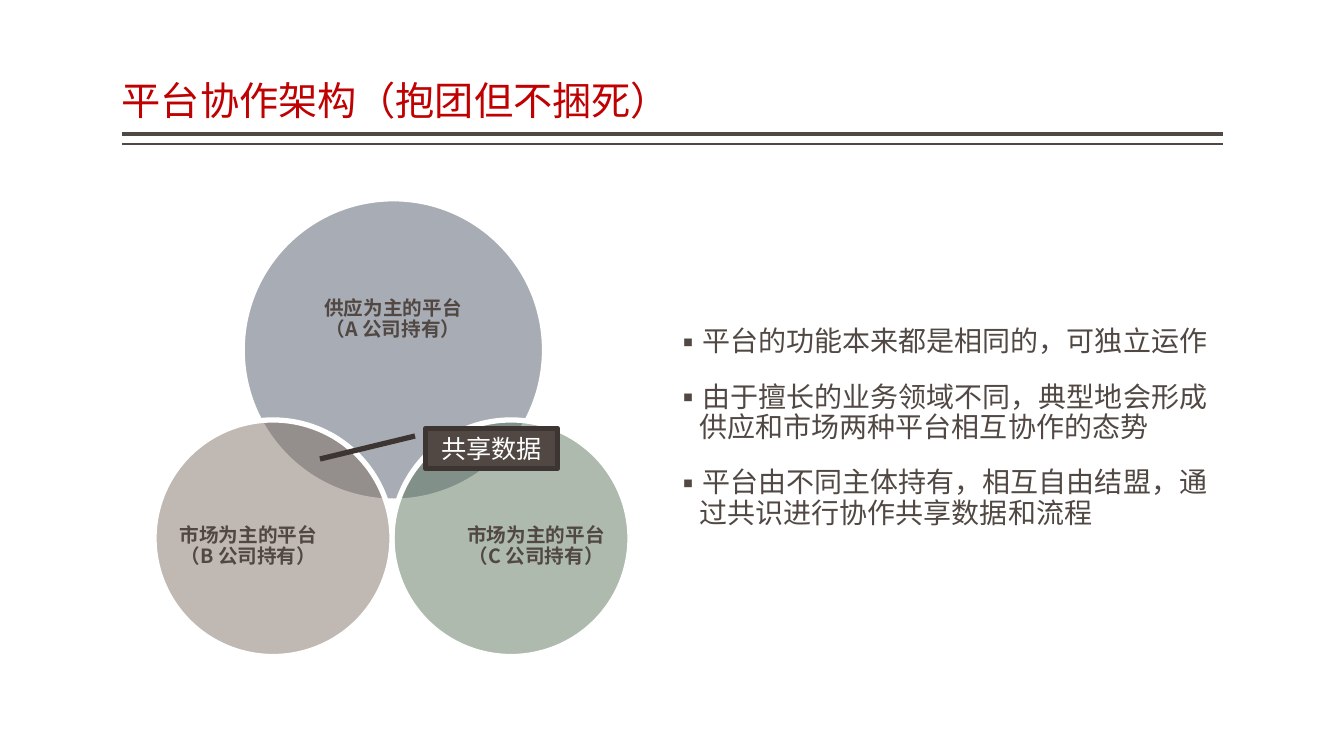
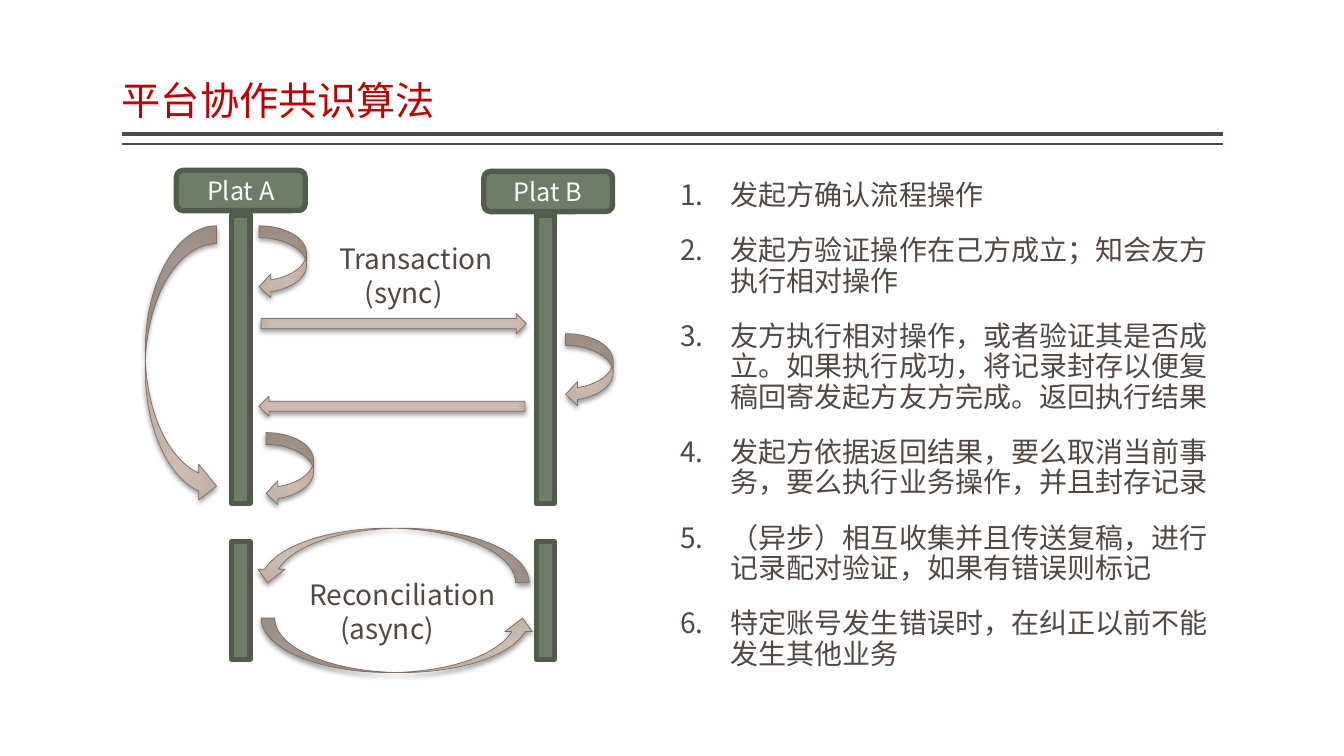
import pptx
import pptx.util
import pptx.dml.color
import pptx.enum.dml
import pptx.enum.shapes
import pptx.enum.text
import pptx.oxml
import pptx.oxml.ns
from lxml import etree

Pt = pptx.util.Pt
MSO = pptx.enum.shapes.MSO_SHAPE
ANCHOR = pptx.enum.text.MSO_ANCHOR
CENTER = pptx.enum.text.PP_ALIGN.CENTER
qn = pptx.oxml.ns.qn

# Content
TITLES = ["平台协作架构（抱团但不捆死）", "平台协作共识算法"]
POINTS = [
    "平台的功能本来都是相同的，可独立运作",
    "由于擅长的业务领域不同，典型地会形成供应和市场两种平台相互协作的态势",
    "平台由不同主体持有，相互自由结盟，通过共识进行协作共享数据和流程",
]
STEPS = [
    "发起方确认流程操作",
    "发起方验证操作在己方成立；知会友方执行相对操作",
    "友方执行相对操作，或者验证其是否成立。如果执行成功，将记录封存以便复稿回寄发起方友方完成。返回执行结果",
    "发起方依据返回结果，要么取消当前事务，要么执行业务操作，并且封存记录",
    "（异步）相互收集并且传送复稿，进行记录配对验证，如果有错误则标记",
    "特定账号发生错误时，在纠正以前不能发生其他业务",
]
# Label, fill, circle box, label box
CIRCLES = [
    ("供应为主的平台\v（A 公司持有）", "slate", (173, 142, 216, 216), (201.5, 180, 158.5, 97)),
    ("市场为主的平台（C 公司持有）", "leaf", (280, 300, 170, 169), (332, 344, 102, 93)),
    ("市场为主的平台（B 公司持有）", "clay", (110, 300, 170, 169), (126.5, 344, 102, 93)),
]
# Name, lifeline left, pill left, pill top
PLATS = [("Plat A", 165.6, 126, 121.7), ("Plat B", 383, 345.6, 122.4)]
SPANS = [(153.6, 206), (387, 84)]
LOOP = (34, 52)
ARROWS = [
    (MSO.CURVED_LEFT_ARROW, (185, 161.3, *LOOP), 0),
    (MSO.RIGHT_ARROW, (186.5, 224, 189.5, 14.4), 0),
    (MSO.LEFT_ARROW, (185, 283, 190, 14.4), 0),
    (MSO.CURVED_LEFT_ARROW, (404, 238.3, *LOOP), 0),
    (MSO.CURVED_RIGHT_ARROW, (103.7, 161.3, 51, 198.7), 0),
    (MSO.CURVED_LEFT_ARROW, (190, 309, *LOOP), 0),
    (MSO.CURVED_UP_ARROW, (186.5, 441.4, 196.6, 39), 0),
    (MSO.CURVED_UP_ARROW, (181.4, 377.3, 196.6, 39), 180),
]
# Lines, indent of the second line, box
NOTES = [
    (["Reconciliation", "(async)"], 22, (213.8, 409, 154, 55.4)),
    (["Transaction", "(sync)"], 18, (235.4, 169.2, 125, 55.4)),
]

# Shared style
HEX = {
    "ink": "514843", "red": "BF0102", "white": "FFFFFF", "dark": "3C3532",
    "slate": "525A6A", "leaf": "5C765D", "clay": "827266",
    "moss": "6D7D66", "fern": "515C4B",
    "sand": "CCBDB3", "tan": "C2AEA1", "bark": "806F63", "black": "000000",
}
FONT = "Noto Sans CJK SC"
EDGE = 3.78
LEFT, RIGHT = 87, 873.4
RULES = [(95.8, 3), (103, 1)]


def tint(name):
    return pptx.dml.color.RGBColor.from_string(HEX[name])


def node(up, tag, **attrs):
    return etree.SubElement(up, qn(tag), {k: str(v) for k, v in attrs.items()})


def style(par, size, color="ink", bold=False, face=FONT):
    font = par.font
    font.size, font.bold, font.name = Pt(size), bold, face
    font.color.rgb = tint(color)
    node(par._p.pPr.find(qn("a:defRPr")), "a:ea", typeface=face)


def bullet(par, mark, hang):
    pr = par._p.get_or_add_pPr()
    pr.set("marL", str(Pt(hang)))
    pr.set("indent", str(-Pt(hang)))
    if mark:
        node(pr, "a:buFont", typeface=FONT)
        node(pr, "a:buChar", char=mark)
    else:
        node(pr, "a:buAutoNum", type="arabicPeriod")


def pars(frame, lines):
    for i, line in enumerate(lines):
        par = frame.add_paragraph() if i else frame.paragraphs[0]
        par.text = line
        yield i, par


def box(slide, rect, anchor, inset):
    frame = slide.shapes.add_textbox(*map(Pt, rect)).text_frame
    frame.word_wrap = True
    frame.vertical_anchor = anchor
    frame.margin_left = frame.margin_right = Pt(inset[0])
    frame.margin_top = frame.margin_bottom = Pt(inset[1])
    return frame


def shape(slide, kind, rect, fill, edge, width=EDGE):
    item = slide.shapes.add_shape(kind, *map(Pt, rect))
    item.shadow.inherit = False
    item.fill.solid()
    item.fill.fore_color.rgb = tint(fill)
    item.line.color.rgb = tint(edge)
    item.line.width = Pt(width)
    return item


def label(item, text, face=FONT):
    frame = item.text_frame
    frame.vertical_anchor = ANCHOR.MIDDLE
    par = frame.paragraphs[0]
    par.text = text
    par.alignment = CENTER
    style(par, 18, "white", face=face)


def page(deck, title):
    slide = deck.slides.add_slide(deck.slide_layouts[6])
    for y, width in RULES:
        rule = slide.shapes.add_connector(
            pptx.enum.shapes.MSO_CONNECTOR.STRAIGHT, Pt(RIGHT), Pt(y), Pt(LEFT), Pt(y))
        rule.line.color.rgb = tint("ink")
        rule.line.width = Pt(width)
        node(rule._element.spPr, "a:effectLst")
    frame = box(slide, (LEFT, 5.8, RIGHT - LEFT, 86.4), ANCHOR.BOTTOM, (0, 3.6))
    par = frame.paragraphs[0]
    par.text = title
    par.line_spacing = 0.9
    style(par, 28, "red")
    return slide


def body(slide, left, lines, anchor, mark, hang):
    frame = box(slide, (left, 126, 387.4, 360), anchor, (0, 3.6))
    for i, par in pars(frame, lines):
        par.line_spacing = 0.9
        par.space_before = Pt(18 if i else 0)
        bullet(par, mark, hang)
        style(par, 20)


def arrow(slide, kind, rect, turn):
    item = shape(slide, kind, rect, "sand", "bark", 0.5)
    item.rotation = turn
    item.fill.gradient()
    for stop, spot, name in zip(item.fill.gradient_stops, (0, 1), ("sand", "tan")):
        stop.position = spot
        stop.color.rgb = tint(name)
    # Gradient from the middle outwards
    grad = item._element.spPr.find(qn("a:gradFill"))
    grad.remove(grad.find(qn("a:lin")))
    way = node(grad, "a:path", path="rect")
    node(way, "a:fillToRect", l=50000, t=50000, r=50000, b=50000)
    # Soft shadow below
    glow = node(item._element.spPr.find(qn("a:effectLst")), "a:outerShdw",
                blurRad=Pt(3.5), dist=Pt(2), dir=5400000, rotWithShape=0)
    node(node(glow, "a:srgbClr", val=HEX["black"]), "a:alpha", val=38000)


def venn(deck):
    slide = page(deck, TITLES[0])
    body(slide, 481.7, POINTS, ANCHOR.MIDDLE, "▪", 18)
    # Overlapping circles
    for text, fill, rect, spot in CIRCLES:
        disc = shape(slide, MSO.OVAL, rect, fill, "white")
        color = disc._element.spPr.find(qn("a:solidFill")).find(qn("a:srgbClr"))
        node(color, "a:alpha", val=50000)
        par = box(slide, spot, ANCHOR.MIDDLE, (0, 0)).paragraphs[0]
        par.text = text
        par.alignment = CENTER
        par.line_spacing = 0.9
        style(par, 14, bold=True)
    # Callout on the overlap
    call = shape(slide, MSO.LINE_CALLOUT_1, (304, 306, 94.3, 28.8), "ink", "dark")
    for i, value in enumerate((0.19, -0.08, 0.76, -0.8)):
        call.adjustments[i] = value
    label(call, "共享数据", "Roboto")


def flow(deck):
    slide = page(deck, TITLES[1])
    body(slide, 486, STEPS, ANCHOR.TOP, None, 36)
    # Lifelines
    for top, height in SPANS:
        for _, left, _, _ in PLATS:
            shape(slide, MSO.RECTANGLE, (left, top, 13, height), "moss", "fern")
    # Messages
    for kind, rect, turn in ARROWS:
        arrow(slide, kind, rect, turn)
    for lines, inset, rect in NOTES:
        for i, par in pars(box(slide, rect, ANCHOR.TOP, (7.2, 3.6)), lines):
            par._p.get_or_add_pPr().set("marL", str(Pt(inset * i)))
            style(par, 20)
    # Heads
    for name, _, left, top in PLATS:
        label(shape(slide, MSO.ROUNDED_RECTANGLE, (left, top, 92, 28.8), "moss", "fern"), name)


def main():
    deck = pptx.Presentation()
    deck.slide_width, deck.slide_height = Pt(960), Pt(540)
    venn(deck)
    flow(deck)
    deck.save("out.pptx")


if __name__ == "__main__":
    main()
